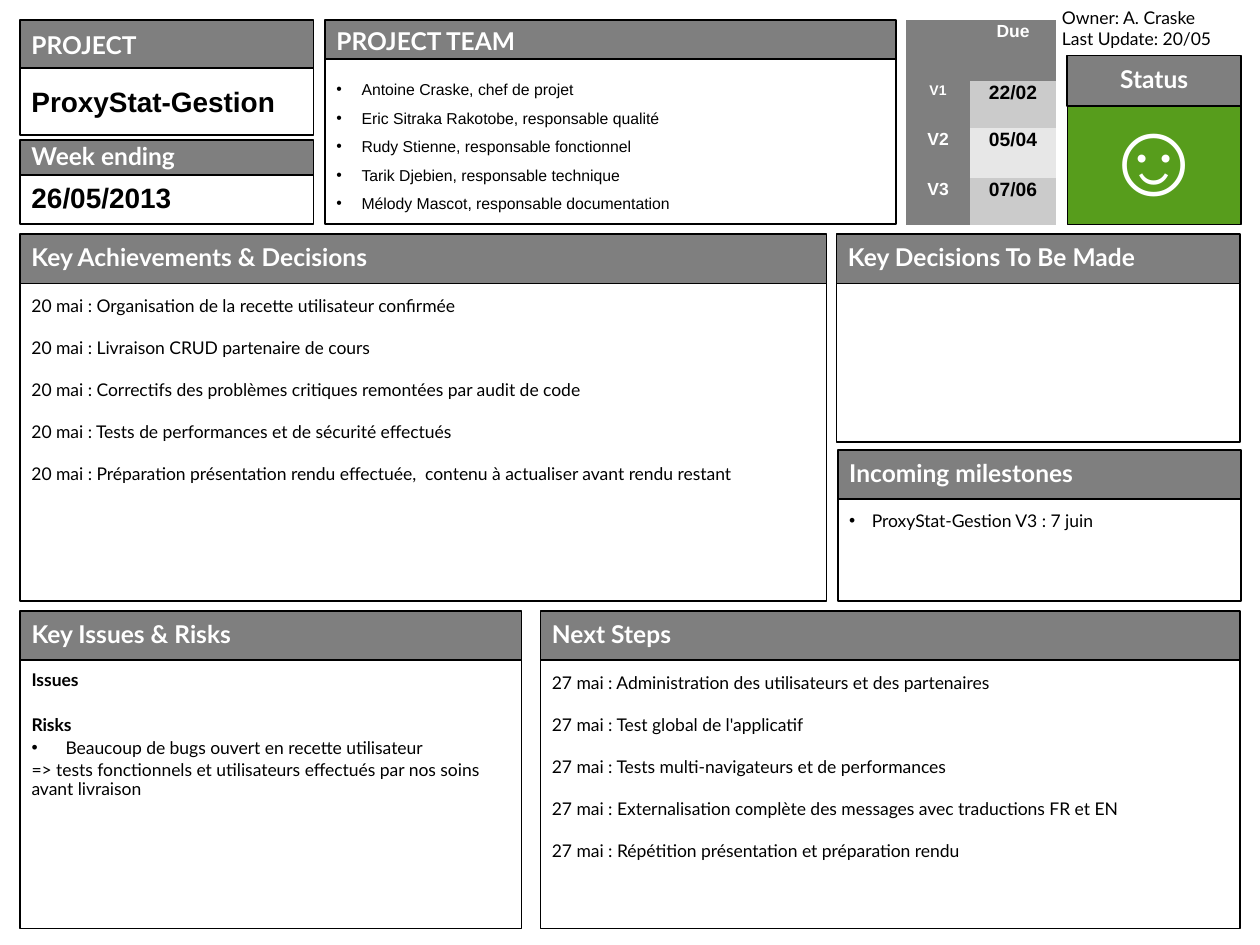
from lxml.etree import SubElement
from pptx import Presentation
from pptx.dml.color import RGBColor
from pptx.enum.shapes import MSO_SHAPE
from pptx.enum.text import MSO_ANCHOR, PP_ALIGN
from pptx.oxml.ns import qn
from pptx.util import Inches, Pt

COLORS = {"grey": "7F7F7F", "white": "FFFFFF", "black": "000000",
          "green": "579D1C", "dark band": "CBCBCB", "light band": "E7E7E7"}
COLORS = {name: RGBColor.from_string(value) for name, value in COLORS.items()}

HEADING = {"name": "Lato", "size": Pt(14), "bold": True}
BODY = {"name": "Lato", "size": Pt(10), "bold": False}
STRONG = {**BODY, "bold": True}
TEAM = {"name": "Arial", "size": Pt(9), "bold": False}
VALUE = {"name": "Arial", "size": Pt(16), "bold": True}
SMILEY = {"name": "Arial", "size": Pt(60), "bold": False}
TIGHT = {"line_spacing": 0.9}
CENTER = {**TIGHT, "alignment": PP_ALIGN.CENTER}
SPACED = {"space_after": Pt(12)}
RISK = {**TIGHT, "space_before": Pt(2)}


def write(frame, lines, color, insets=(0.09, 0.09, 0.09, 0.05)):
    """Each line is (text, font format, paragraph format, bullet indent)."""
    sides = ("margin_left", "margin_top", "margin_right", "margin_bottom")
    for side, inset in zip(sides, insets):
        setattr(frame, side, Inches(inset))
    for index, (text, font, layout, indent) in enumerate(lines):
        para = frame.add_paragraph() if index else frame.paragraphs[0]
        for key, value in {"alignment": PP_ALIGN.LEFT, **layout}.items():
            setattr(para, key, value)
        span = para.add_run()
        span.text = text
        for key, value in font.items():
            setattr(span.font, key, value)
        span.font.color.rgb = COLORS[color]
        if indent:
            props = para._p.get_or_add_pPr()
            props.set("marL", str(Inches(indent)))
            props.set("indent", str(-Inches(indent)))
            SubElement(props, qn("a:buFont"), typeface="Arial")
            SubElement(props, qn("a:buChar"), char="•")


def add_box(left, top, width, height, fill, line=1):
    box = page.shapes.add_shape(MSO_SHAPE.RECTANGLE, Inches(left), Inches(top),
                                Inches(width), Inches(height))
    box.shadow.inherit = False
    box.fill.solid()
    box.fill.fore_color.rgb = COLORS[fill]
    box.line.color.rgb = COLORS["black"]
    box.line.width = Pt(line)
    box.text_frame.word_wrap = True
    box.text_frame.vertical_anchor = MSO_ANCHOR.TOP
    return box


deck = Presentation()
deck.slide_width, deck.slide_height = Inches(10), Inches(7.5)
page = deck.slides.add_slide(deck.slide_layouts[6])

# Panel contents
team = ["Antoine Craske, chef de projet",
        "Eric Sitraka Rakotobe, responsable qualité",
        "Rudy Stienne, responsable fonctionnel",
        "Tarik Djebien, responsable technique",
        "Mélody Mascot, responsable documentation"]
achievements = [
    "20 mai : Organisation de la recette utilisateur confirmée",
    "20 mai : Livraison CRUD partenaire de cours",
    "20 mai : Correctifs des problèmes critiques remontées par audit de code",
    "20 mai : Tests de performances et de sécurité effectués",
    "20 mai : Préparation présentation rendu effectuée,  contenu à actualiser avant rendu restant"]
next_steps = [
    "27 mai : Administration des utilisateurs et des partenaires",
    "27 mai : Test global de l'applicatif",
    "27 mai : Tests multi-navigateurs et de performances",
    "27 mai : Externalisation complète des messages avec traductions FR et EN",
    "27 mai : Répétition présentation et préparation rendu"]
risks = [
    ("Issues", STRONG, RISK, 0),
    ("Risks", STRONG, {**RISK, "space_before": Pt(15)}, 0),
    ("Beaucoup de bugs ouvert en recette utilisateur", BODY, RISK, 0.27),
    ("=> tests fonctionnels et utilisateurs effectués par nos soins avant livraison",
     BODY, RISK, 0)]

# Panels: title, left, top, width, title height, body height, title top inset, lines
panels = [
    ("PROJECT", 0.16, 0.16, 2.33, 0.38, 0.53, 0.09,
     [("ProxyStat-Gestion", VALUE, {}, 0)]),
    ("Week ending", 0.16, 1.11, 2.33, 0.28, 0.39, 0.05,
     [("26/05/2013", VALUE, TIGHT, 0)]),
    ("PROJECT TEAM", 2.58, 0.16, 4.53, 0.31, 1.31, 0.09,
     [(member, TEAM, {"line_spacing": 1.5}, 0.2) for member in team]),
    ("Key Achievements & Decisions", 0.16, 1.86, 6.4, 0.39, 2.52, 0.05,
     [(item, BODY, SPACED, 0) for item in achievements]),
    ("Key Decisions To Be Made", 6.64, 1.86, 3.2, 0.39, 1.26, 0.05, []),
    ("Incoming milestones", 6.65, 3.57, 3.2, 0.39, 0.81, 0.05,
     [("ProxyStat-Gestion V3 : 7 juin", BODY, {}, 0.18)]),
    ("Key Issues & Risks", 0.16, 4.85, 3.98, 0.39, 2.13, 0.05, risks),
    ("Next Steps", 4.29, 4.85, 5.55, 0.39, 2.13, 0.05,
     [(step, BODY, SPACED, 0) for step in next_steps]),
    ("Status", 8.47, 0.44, 1.38, 0.4, 0.94, 0.05,
     [("☺", SMILEY, {"line_spacing": 0.8, "space_before": Pt(15),
                     "alignment": PP_ALIGN.CENTER}, 0)]),
]
for title, left, top, width, title_height, body_height, inset, lines in panels:
    status = title == "Status"
    body = add_box(left, top + title_height, width, body_height,
                   "green" if status else "white", 0.75 if status else 1)
    if lines:
        write(body.text_frame, lines, "white" if status else "black")
        if lines[0][1] in (VALUE, SMILEY):
            body.text_frame.vertical_anchor = MSO_ANCHOR.MIDDLE
            body.text_frame.margin_top = Inches(0.05)
    header = add_box(left, top, width, title_height, "grey")
    header.text_frame.vertical_anchor = MSO_ANCHOR.MIDDLE
    header.text_frame.word_wrap = False
    write(header.text_frame, [(title, HEADING, CENTER if status else TIGHT, 0)],
          "white", (0.09, inset, 0.09, 0.05))

# Owner and update date
owner = page.shapes.add_textbox(Inches(8.33), Inches(0.01), Inches(1.42), Inches(0.44))
owner.text_frame.word_wrap = False
write(owner.text_frame, [(text, BODY, {}, 0) for text in
                         ("Owner: A. Craske", "Last Update: 20/05")],
      "black", (0.1, 0.05, 0.1, 0.05))

# Version due dates
rows = [("", "Due", 0.48, "grey", 10, 10), ("V1", "22/02", 0.38, "dark band", 8, 11),
        ("V2", "05/04", 0.39, "light band", 10, 11),
        ("V3", "07/06", 0.38, "dark band", 10, 11)]
table = page.shapes.add_table(4, 2, Inches(7.19), Inches(0.16),
                              Inches(1.19), Inches(1.63)).table
no_style = "{2D5ABB26-0587-4C30-8999-92F81FD0307C}"
table._tbl.tblPr.find(qn("a:tableStyleId")).text = no_style
for column, width in zip(table.columns, (0.51, 0.68)):
    column.width = Inches(width)
for index, (version, due, height, band, version_size, due_size) in enumerate(rows):
    table.rows[index].height = Inches(height)
    cells = [(version, "grey", version_size, 0.04), (due, band, due_size, 0.11)]
    for column, (text, fill, size, inset) in enumerate(cells):
        cell = table.cell(index, column)
        cell.fill.solid()
        cell.fill.fore_color.rgb = COLORS[fill]
        cell.margin_left = cell.margin_right = Inches(inset)
        if text:
            font = {"name": "Arial", "size": Pt(size), "bold": True}
            layout = {"alignment": PP_ALIGN.CENTER, "line_spacing": 0.71}
            write(cell.text_frame, [(text, font, layout, 0)],
                  "white" if fill == "grey" else "black", ())

deck.save("out.pptx")
